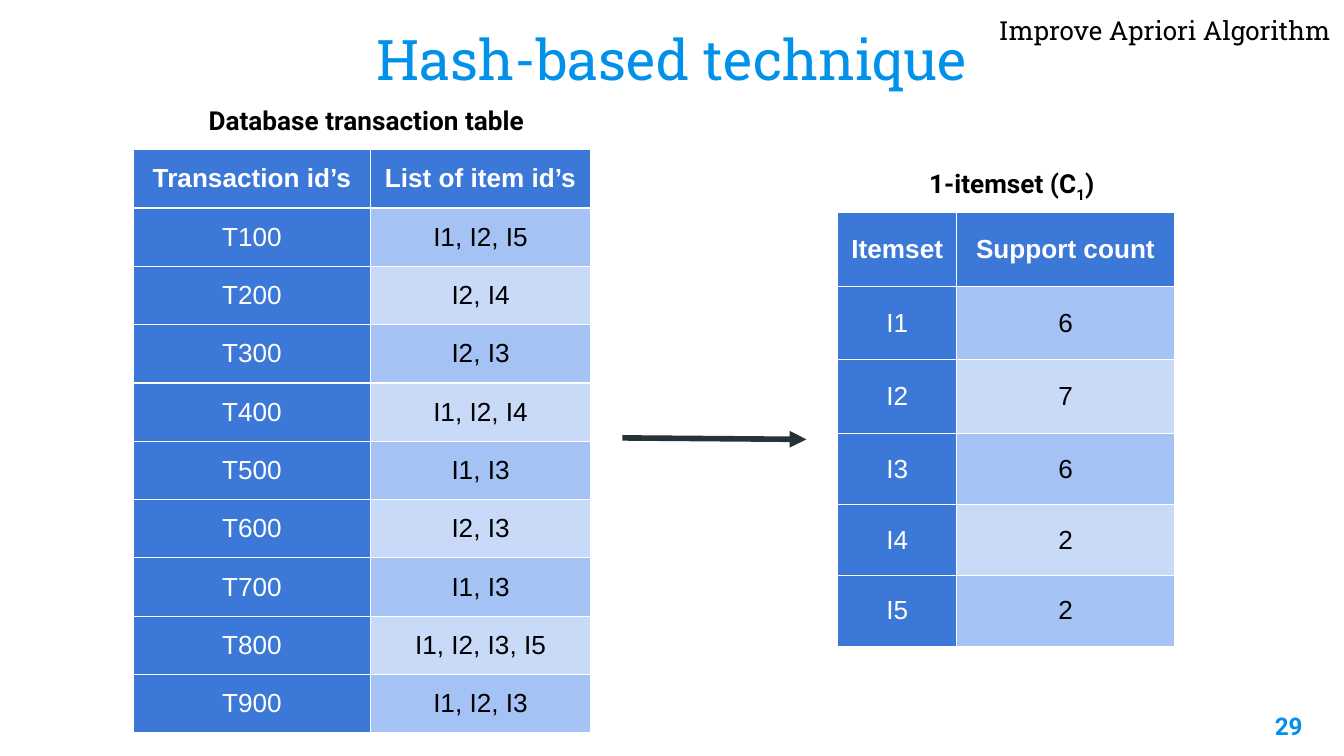
from lxml import etree
from pptx import Presentation
from pptx.dml.color import RGBColor
from pptx.enum.shapes import MSO_CONNECTOR
from pptx.enum.text import MSO_ANCHOR, PP_ALIGN
from pptx.oxml.ns import qn
from pptx.util import Pt

STRAIGHT = MSO_CONNECTOR.STRAIGHT
TOP, MIDDLE, BOTTOM = MSO_ANCHOR.TOP, MSO_ANCHOR.MIDDLE, MSO_ANCHOR.BOTTOM
CENTER, RIGHT = PP_ALIGN.CENTER, PP_ALIGN.RIGHT
INSET = Pt(7.2)
COLORS = {
    "white": "FFFFFF",
    "black": "000000",
    "accent": "0091EA",
    "head": "3C78D8",
    "odd": "A4C2F4",
    "even": "C9DAF8",
    "arrow": "263238",
}
BASKETS = [
    "I1, I2, I5", "I2, I4", "I2, I3", "I1, I2, I4", "I1, I3",
    "I2, I3", "I1, I3", "I1, I2, I3, I5", "I1, I2, I3",
]
COUNTS = [6, 7, 6, 2, 2]


def color(name):
    return RGBColor.from_string(COLORS[name])


def style(para, align, size, face, tint, bold=False):
    para.alignment = align
    font = para.font
    font.size, font.name, font.bold = Pt(size), face, bold
    font.color.rgb = color(tint)


def pad(box):
    """Give a text frame or a cell the same inset on all sides."""
    box.margin_left = box.margin_right = INSET
    box.margin_top = box.margin_bottom = INSET


def add_text(slide, area, text, size, face, tint="black", align=CENTER,
             bold=False, anchor=TOP):
    frame = slide.shapes.add_textbox(*map(Pt, area)).text_frame
    frame.word_wrap = True
    frame.vertical_anchor = anchor
    pad(frame)
    para = frame.paragraphs[0]
    para.text = text
    style(para, align, size, face, tint, bold)
    return para


def add_edges(cell):
    """Draw thin white borders around a cell."""
    props = cell._tc.get_or_add_tcPr()
    for side in ("lnL", "lnR", "lnT", "lnB"):
        line = etree.SubElement(props, qn(f"a:{side}"), w=str(Pt(0.75)))
        fill = etree.SubElement(line, qn("a:solidFill"))
        etree.SubElement(fill, qn("a:srgbClr"), val=COLORS["white"])


def fill_cell(cell, text, row, col):
    pad(cell)
    cell.vertical_anchor = MIDDLE
    cell.text = str(text)
    label = row == 0 or col == 0
    style(cell.text_frame.paragraphs[0], CENTER, 14, "Arial",
          "white" if label else "black", row == 0)
    add_edges(cell)
    cell.fill.solid()
    shade = "head" if label else "odd" if row % 2 else "even"
    cell.fill.fore_color.rgb = color(shade)


def add_grid(slide, left, top, widths, heights, rows):
    size = (left, top, sum(widths), sum(heights))
    grid = slide.shapes.add_table(len(rows), len(widths), *map(Pt, size)).table
    for col, width in zip(grid.columns, widths):
        col.width = Pt(width)
    for line, height in zip(grid.rows, heights):
        line.height = Pt(height)
    for r, row in enumerate(rows):
        for c, text in enumerate(row):
            fill_cell(grid.cell(r, c), text, r, c)


def add_arrow(slide, *ends):
    arrow = slide.shapes.add_connector(STRAIGHT, *map(Pt, ends))
    arrow.line.width = Pt(3)
    arrow.line.color.rgb = color("arrow")
    etree.SubElement(arrow.line._get_or_add_ln(), qn("a:tailEnd"),
                     type="triangle")
    etree.SubElement(arrow._element.spPr, qn("a:effectLst"))


def main():
    deck = Presentation()
    deck.slide_width, deck.slide_height = Pt(720), Pt(405)
    slide = deck.slides.add_slide(deck.slide_layouts[6])

    add_text(slide, (62, 0.7, 596, 55.4), "Hash-based technique", 30,
             "Roboto Slab", "accent", anchor=BOTTOM)

    sales = [("Transaction id’s", "List of item id’s")]
    sales += [(f"T{n}00", items) for n, items in enumerate(BASKETS, 1)]
    add_grid(slide, 71.5, 80.2, [127, 118], [31.2] * 5 + [30.2] * 5, sales)

    support = [("Itemset", "Support count")]
    support += [(f"I{n}", count) for n, count in enumerate(COUNTS, 1)]
    add_grid(slide, 448.8, 113.8, [63.8, 116.5], [39.5] * 3 + [38] * 3, support)

    add_text(slide, (103, 48.5, 186.5, 31.7), "Database transaction table",
             14, "Roboto", bold=True)
    para = add_text(slide, (448.8, 82.5, 186.5, 31.7), "1-itemset (C",
                    14, "Roboto", bold=True)
    low = para.add_run()
    low.text = "1"
    low.font._element.set("baseline", "-25000")
    para.add_run().text = ")"

    add_arrow(slide, 333.4, 234.6, 432, 235.4)

    add_text(slide, (524, 0.7, 196, 31.7), "Improve Apriori Algorithm",
             14, "Roboto Slab", align=RIGHT)
    add_text(slide, (661.7, 374, 43.2, 31), "29", 13, "Roboto", "accent",
             RIGHT, True)
    deck.save("out.pptx")


if __name__ == "__main__":
    main()
